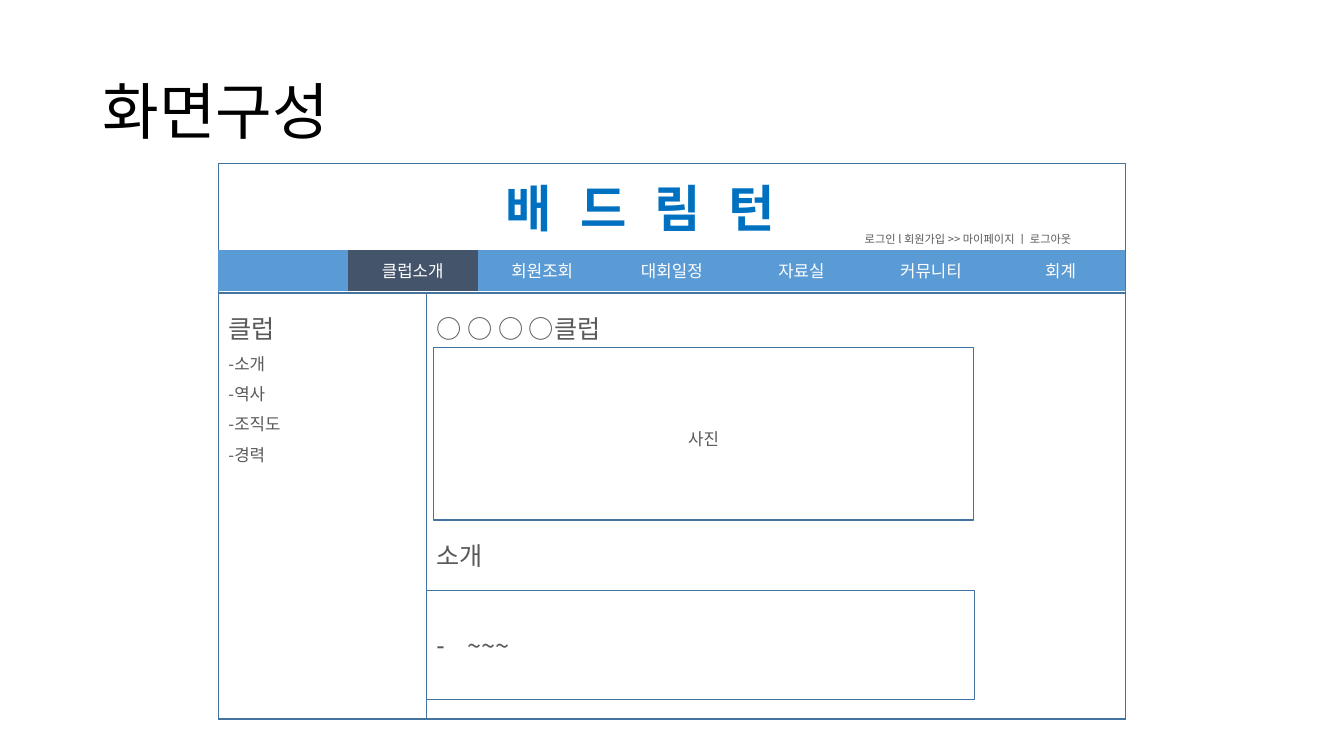
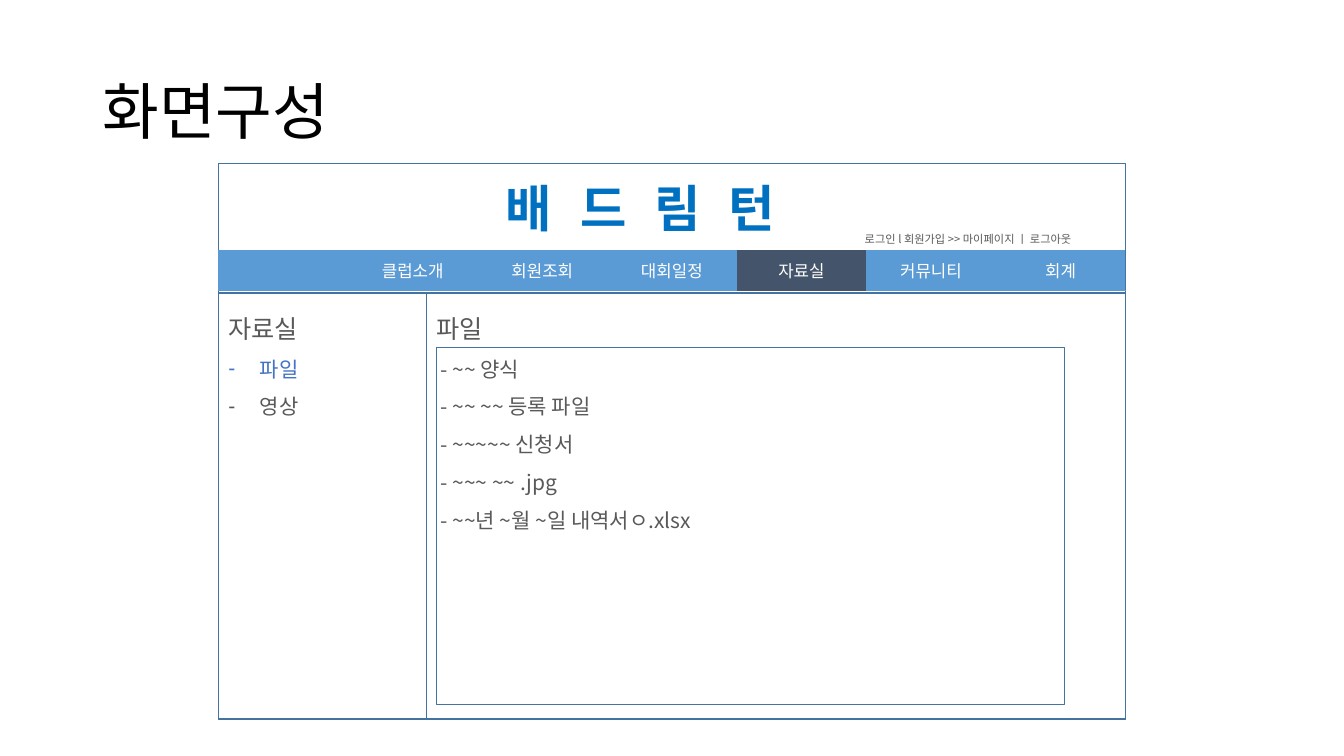
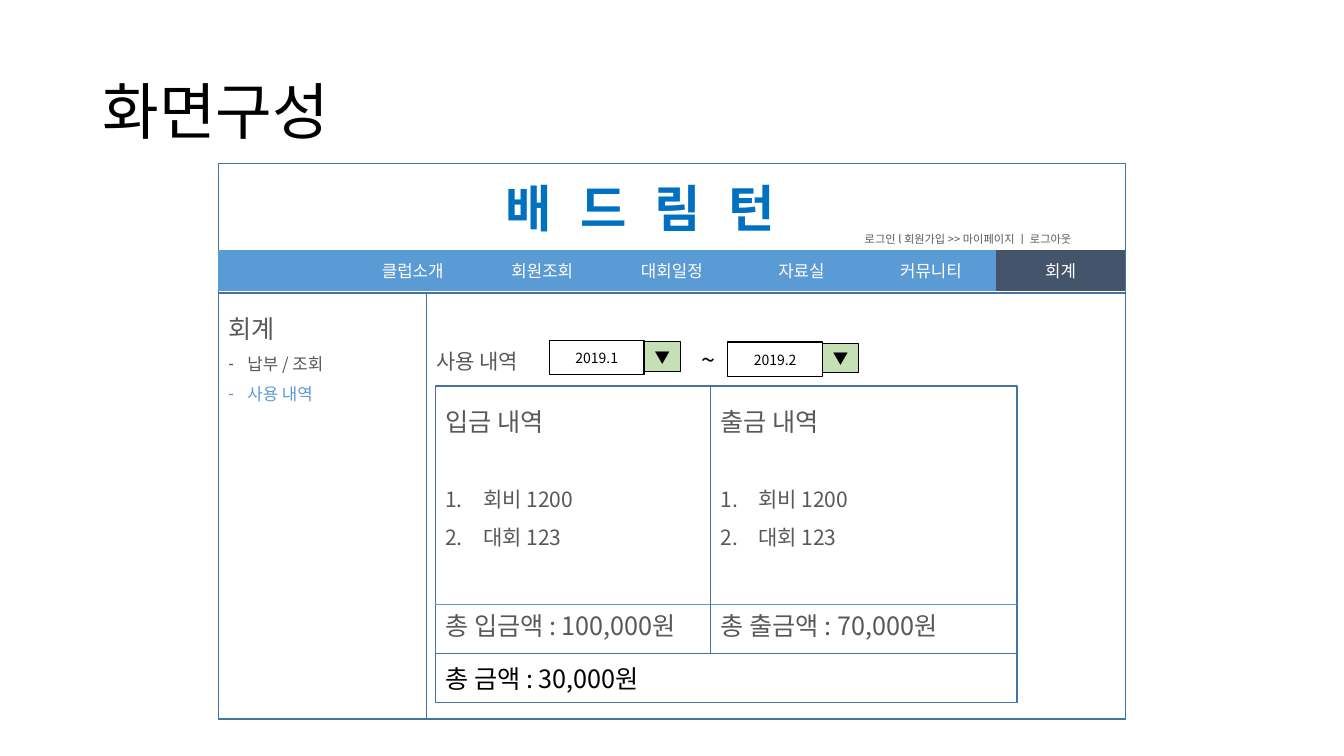
from dataclasses import dataclass

from lxml.etree import SubElement
from pptx import Presentation
from pptx.dml.color import RGBColor as RGB
from pptx.enum.shapes import MSO_CONNECTOR as CONN, MSO_SHAPE as SHAPE
from pptx.enum.text import MSO_ANCHOR as ANCHOR, MSO_AUTO_SIZE as FIT, PP_ALIGN as ALIGN
from pptx.oxml.ns import qn
from pptx.util import Pt

FONT = "Noto Sans CJK KR"
BLACK = RGB(0x00, 0x00, 0x00)
WHITE = RGB(0xFF, 0xFF, 0xFF)
GRAY = RGB(0x59, 0x59, 0x59)
NAVY = RGB(0x44, 0x54, 0x6A)
BORDER = RGB(0x43, 0x73, 0x9E)
SKY = RGB(0x5B, 0x9B, 0xD5)
BLUE = RGB(0x44, 0x72, 0xC4)
BRAND = RGB(0x00, 0x70, 0xC0)
GREEN = RGB(0xC5, 0xE0, 0xB4)

MENU = ["", "클럽소개", "회원조회", "대회일정", "자료실", "커뮤니티", "회계"]
LEADING = 1.8  # line height as a multiple of the text size

# Page frame of the wireframe, in points
LEFT, TOP, WIDTH, BOTTOM = 156, 117, 648, 513.5
NAV_TOP, NAV_H = 178.6, 29.3
PANEL_TOP, SIDE_W = 209.3, 148.5
PANEL_H = BOTTOM - PANEL_TOP
MAIN_LEFT = LEFT + SIDE_W


@dataclass
class Line:
    text: str
    size: float = 18
    color: RGB = GRAY
    gap: float = 0       # space before
    mark: str = ""       # "-" for a dash, "1." for numbers
    indent: float = 0    # hanging indent, or left margin without a mark
    align: ALIGN = ALIGN.LEFT
    height: float = 0    # line height, by rule when 0


class Deck:
    def __init__(self):
        self.prs = Presentation()
        self.prs.slide_width, self.prs.slide_height = Pt(960), Pt(540)
        self.slide = None

    # Text
    def add_text(self, p, text, size, color):
        r = p.add_run()
        r.text = text
        r.font.size, r.font.name = Pt(size), FONT
        r.font.color.rgb = color
        SubElement(r.font._element, qn("a:ea"), typeface=FONT)

    def add_lines(self, sp, lines, anchor=ANCHOR.TOP, top_inset=3.6):
        tf = sp.text_frame
        tf.word_wrap, tf.auto_size = True, FIT.NONE
        tf.vertical_anchor, tf.margin_top = anchor, Pt(top_inset)
        for i, line in enumerate(lines):
            p = tf.add_paragraph() if i else tf.paragraphs[0]
            p.alignment = line.align
            p.line_spacing = Pt(line.height or line.size * LEADING)
            p.space_before = Pt(line.gap)
            pPr = p._p.get_or_add_pPr()
            pPr.set("marL", str(Pt(line.indent)))
            pPr.set("indent", str(-Pt(line.indent) if line.mark else 0))
            if line.mark == "-":
                SubElement(pPr, qn("a:buChar"), char="-")
            elif line.mark:
                SubElement(pPr, qn("a:buAutoNum"), type="arabicPeriod")
            else:
                SubElement(pPr, qn("a:buNone"))
            self.add_text(p, line.text, line.size, line.color)
        return tf

    # Shapes
    def outline(self, sp, fill=None, line=BORDER, weight=1):
        sp.shadow.inherit = False
        if fill is None:
            sp.fill.background()
        else:
            sp.fill.solid()
            sp.fill.fore_color.rgb = fill
        sp.line.color.rgb, sp.line.width = line, Pt(weight)

    def box(self, x, y, w, h, lines=(), anchor=ANCHOR.MIDDLE, **style):
        sp = self.slide.shapes.add_shape(SHAPE.RECTANGLE, Pt(x), Pt(y), Pt(w), Pt(h))
        self.outline(sp, **style)
        if lines:
            self.add_lines(sp, lines, anchor)

    def label(self, x, y, w, h, line):
        sp = self.slide.shapes.add_textbox(Pt(x), Pt(y), Pt(w), Pt(h))
        return self.add_lines(sp, [line])

    def rule(self, x, y, w):
        c = self.slide.shapes.add_connector(CONN.STRAIGHT, Pt(x), Pt(y), Pt(x + w), Pt(y))
        c.line.color.rgb, c.line.width = SKY, Pt(0.5)
        SubElement(c._element.spPr, qn("a:effectLst"))

    def place(self, sp, x, y, w, h):
        sp.left, sp.top, sp.width, sp.height = Pt(x), Pt(y), Pt(w), Pt(h)

    def panel(self, idx, x, w, lines, top_inset=3.6):
        sp = self.slide.placeholders[idx]
        self.place(sp, x, PANEL_TOP, w, PANEL_H)
        self.outline(sp)
        self.add_lines(sp, lines, top_inset=top_inset)

    def menu(self, active):
        frame = self.slide.shapes.add_table(
            1, len(MENU), Pt(LEFT), Pt(NAV_TOP), Pt(WIDTH), Pt(NAV_H))
        table = frame.table
        table.first_row = table.horz_banding = False
        # Table style without grid lines
        for style in frame._element.iter(qn("a:tableStyleId")):
            style.text = "{2D5ABB26-0587-4C30-8999-92F81FD0307C}"
        for cell, name in zip(table.rows[0].cells, MENU):
            cell.fill.solid()
            cell.fill.fore_color.rgb = NAVY if name == active else SKY
            cell.vertical_anchor = ANCHOR.MIDDLE
            if name:
                p = cell.text_frame.paragraphs[0]
                p.alignment = ALIGN.CENTER
                self.add_text(p, name, 12, WHITE)

    def dropdown(self, x, y, text):
        self.box(x, y, 67.7, 24.5, [Line(text, 10, BLACK, align=ALIGN.CENTER, height=13)],
                 fill=WHITE, line=BLACK)
        self.box(x + 67.7, y + 1, 26, 21,
                 [Line("▼", 11, BLACK, align=ALIGN.CENTER, height=14)],
                 fill=GREEN, line=BLACK, weight=0.75)

    # Site header: login links and brand
    def header(self):
        self.box(LEFT, TOP, WIDTH, BOTTOM - TOP)
        self.rule(LEFT, 207.5, WIDTH)
        self.label(610.6, 162, 183, 17.3,
                   Line("로그인 l 회원가입 >> 마이페이지 ㅣ 로그아웃", 8, height=10))
        tf = self.label(354.2, 122.4, 240.5, 51, Line("배드림턴", 36, BRAND, height=44))
        font = tf.paragraphs[0].runs[0].font
        font.bold = True
        rPr = font._element
        rPr.set("spc", "2000")
        ln = SubElement(rPr, qn("a:ln"), w=str(Pt(1)))
        SubElement(SubElement(ln, qn("a:solidFill")), qn("a:srgbClr"), val=str(SKY))
        rPr.insert(0, ln)

    # Shared page: title, header, menu, sidebar and main panel
    def page(self, active, side, main, top_inset=3.6):
        self.slide = self.prs.slides.add_slide(self.prs.slide_layouts[3])
        title = self.slide.shapes.title
        self.place(title, 66, 28.8, 828, 104.4)
        self.add_lines(title, [Line("화면구성", 44, BLACK, height=48)], ANCHOR.MIDDLE)
        self.header()
        self.panel(1, LEFT, SIDE_W, side)
        self.menu(active)
        self.panel(2, MAIN_LEFT, LEFT + WIDTH - MAIN_LEFT, main, top_inset)


def club(deck):
    side = [Line(t, 12) for t in ("-소개", "-역사", "-조직도", "-경력")]
    deck.page("클럽소개", [Line("클럽")] + side, [
        Line("○ ○ ○ ○클럽"),
        Line("소개", gap=129.6),
        Line("~~~", gap=32.4, mark="-", indent=22.5),
    ])
    deck.box(309.6, 248.4, 386, 123, [Line("사진", 12, align=ALIGN.CENTER)])
    deck.box(MAIN_LEFT, 422, 391.5, 77.8)


def library(deck):
    files = ["- ~~ 양식", "- ~~ ~~ 등록 파일", "- ~~~~~ 신청서",
             "- ~~~ ~~ .jpg", "- ~~년 ~월 ~일 내역서ㅇ.xlsx"]
    deck.page("자료실",
              [Line("자료실"),
               Line("파일", 15, BLUE, mark="-", indent=22.5),
               Line("영상", 15, mark="-", indent=22.5)],
              [Line("파일")] + [Line(t, 15, indent=3) for t in files])
    deck.box(311.8, 248.4, 448.6, 255)


def accounts(deck):
    deck.page("회계",
              [Line("회계"),
               Line("납부 / 조회", 12, mark="-", indent=13.5),
               Line("사용 내역", 12, SKY, mark="-", indent=13.5)],
              [Line("사용 내역", 15)], top_inset=30.6)
    # Ledger columns
    x, y, h = 311, 275.8, 190.8
    left_w, right_w = 196.6, 218.9
    ledgers = [(x, left_w, "입금", "100,000"), (x + left_w, right_w, "출금", "70,000")]
    for lx, w, kind, total in ledgers:
        deck.box(lx, y, w, h, [
            Line(f"{kind} 내역"),
            Line("회비 1200", 15, gap=27, mark="1.", indent=27),
            Line("대회 123", 15, mark="1.", indent=27),
            Line(f"총 {kind}액 : {total}원", gap=32.4),
        ], ANCHOR.TOP)
        deck.rule(lx, 431.5, w)
    deck.box(x, y + h, left_w + right_w, 35.3,
             [Line("총 금액 : 30,000원", color=BLACK, height=22)], fill=WHITE)
    # Period picker
    deck.dropdown(392.4, 243.2, "2019.1")
    deck.dropdown(519.8, 244.4, "2019.2")
    deck.label(493.9, 242, 17.3, 29, Line("~", 18, BLACK, height=22))


def main():
    deck = Deck()
    for build in (club, library, accounts):
        build(deck)
    deck.prs.save("out.pptx")


if __name__ == "__main__":
    main()
